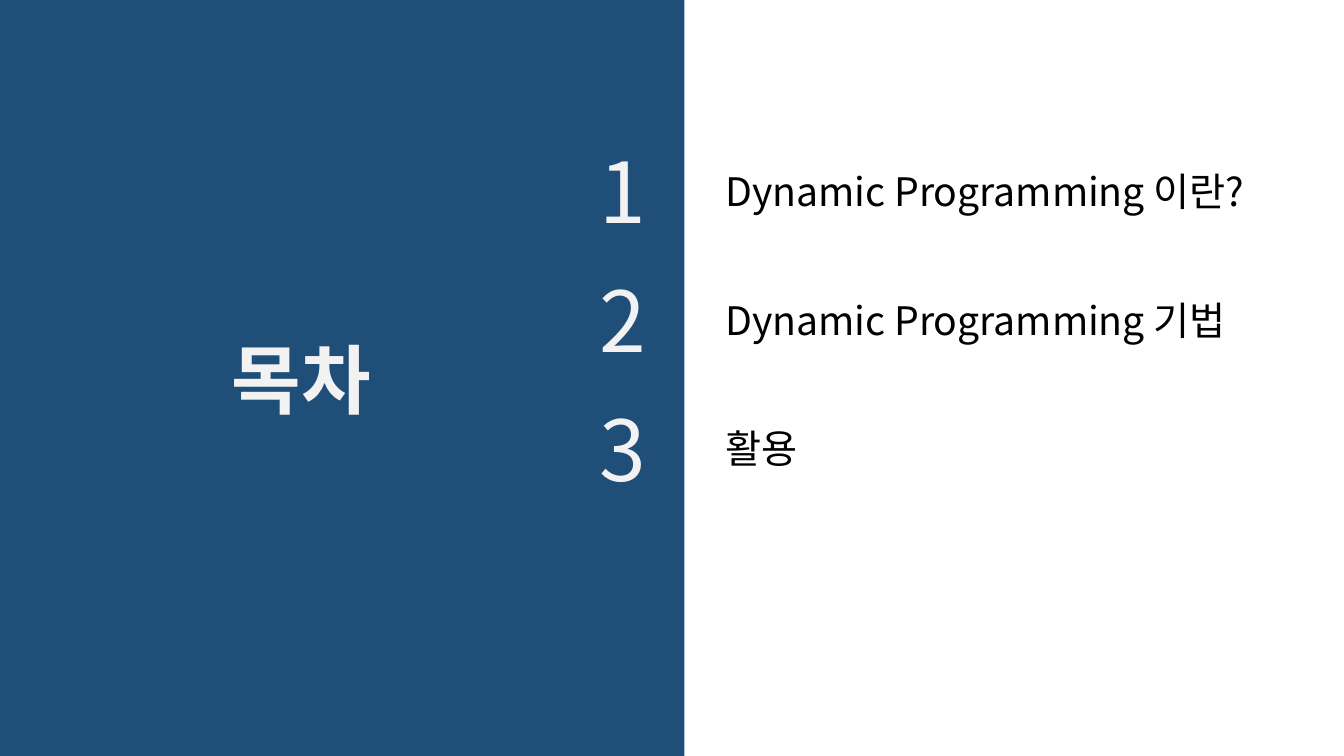
from typing import NamedTuple

from pptx import Presentation
from pptx.dml.color import RGBColor
from pptx.enum.shapes import MSO_SHAPE as Shape
from pptx.enum.text import MSO_ANCHOR as Anchor, MSO_AUTO_SIZE as AutoSize, PP_ALIGN as Align
from pptx.oxml.ns import qn
from pptx.shapes.autoshape import Shape as AutoShape
from pptx.slide import Slide
from pptx.util import Cm, Pt

COLORS = {"navy": "1F4E79", "light": "F2F2F2", "black": "000000"}
FONT = "Noto Sans CJK KR"
NUMBER_LEFT, NUMBER_TOP, NUMBER_HEIGHT = 14.86, 3.4, 2.82
TITLE_LEFT, TITLE_TOP, TITLE_HEIGHT = 18.03, 4.09, 1.45
ROW_PITCH = 3.24


class Box(NamedTuple):
    """Position and size in centimetres."""
    left: float
    top: float
    width: float
    height: float

    def lengths(self) -> list[Cm]:
        return [Cm(value) for value in self]


class Chapter(NamedTuple):
    title: str
    number_width: float
    title_width: float


CHAPTERS = [
    Chapter("Dynamic Programming 이란?", 1.37, 13.72),
    Chapter("Dynamic Programming 기법", 1.83, 13.26),
    Chapter("활용", 1.83, 2.51),
]


def add_panel(slide: Slide, box: Box) -> AutoShape:
    panel = slide.shapes.add_shape(Shape.RECTANGLE, *box.lengths())
    panel.shadow.inherit = False
    panel.fill.solid()
    panel.fill.fore_color.rgb = RGBColor.from_string(COLORS["navy"])
    panel.line.fill.background()
    return panel


def write(shape: AutoShape, text: str, size: int, color: str,
          bold: bool = False, wrap: bool = False) -> None:
    frame = shape.text_frame
    frame.word_wrap = wrap
    frame.auto_size = AutoSize.SHAPE_TO_FIT_TEXT
    frame.vertical_anchor = Anchor.TOP
    paragraph = frame.paragraphs[0]
    paragraph.alignment = Align.LEFT
    run = paragraph.add_run()
    run.text = text
    font = run.font
    font.name, font.size, font.bold = FONT, Pt(size), bold
    font.color.rgb = RGBColor.from_string(COLORS[color])
    # Hangul takes the East Asian typeface
    properties = run._r.get_or_add_rPr()
    east_asian = properties.makeelement(qn("a:ea"), {"typeface": FONT})
    properties.find(qn("a:latin")).addnext(east_asian)


def add_chapter(slide: Slide, index: int, chapter: Chapter) -> None:
    offset = index * ROW_PITCH
    number = add_panel(slide, Box(NUMBER_LEFT, NUMBER_TOP + offset,
                                  chapter.number_width, NUMBER_HEIGHT))
    write(number, str(index + 1), 60, "light")
    title_box = Box(TITLE_LEFT, TITLE_TOP + offset, chapter.title_width, TITLE_HEIGHT)
    title = slide.shapes.add_textbox(*title_box.lengths())
    write(title, chapter.title, 28, "black")


def main() -> None:
    presentation = Presentation()
    presentation.slide_width, presentation.slide_height = Cm(33.87), Cm(19.05)
    slide = presentation.slides.add_slide(presentation.slide_layouts[6])

    add_panel(slide, Box(0, 0, 17.25, 19.05))
    heading = add_panel(slide, Box(5.59, 8.26, 4.37, 2.57))
    write(heading, "목차", 54, "light", bold=True, wrap=True)
    for index, chapter in enumerate(CHAPTERS):
        add_chapter(slide, index, chapter)

    presentation.save("out.pptx")


if __name__ == "__main__":
    main()
